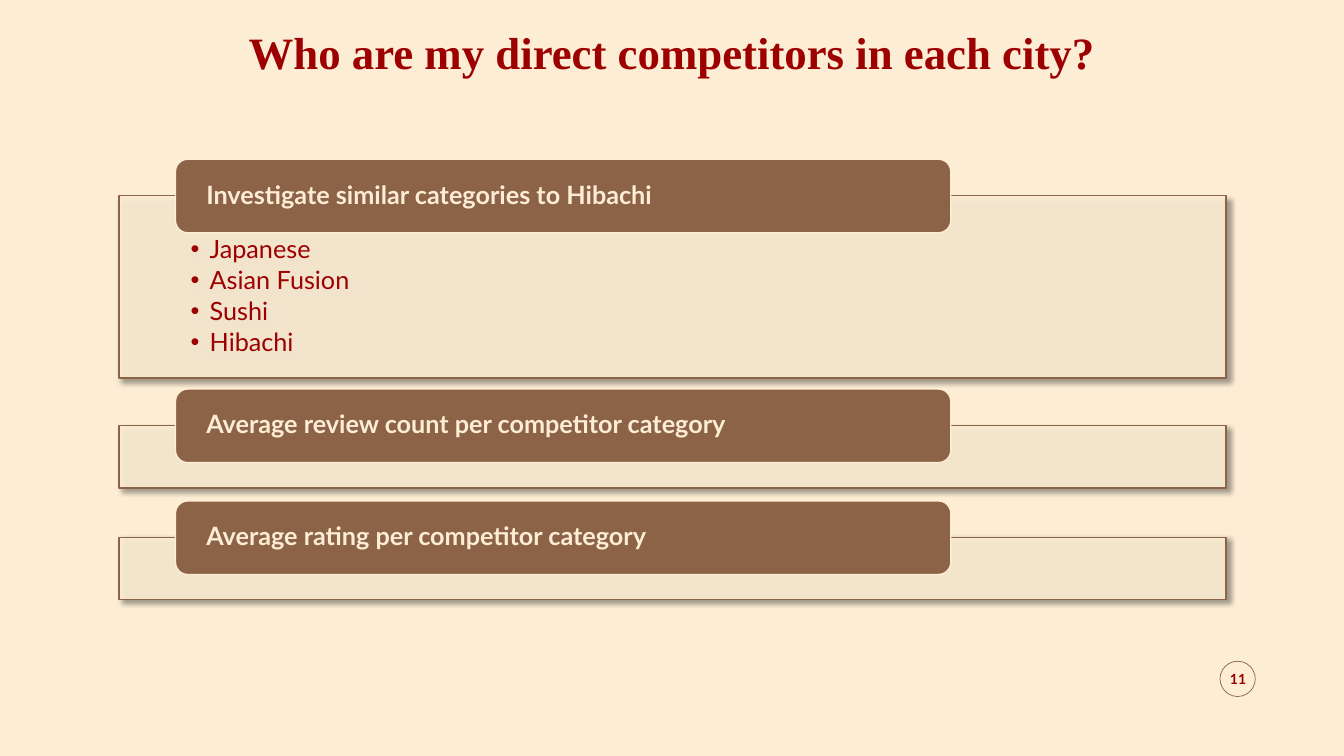
from dataclasses import dataclass

from lxml import etree
from pptx import Presentation
from pptx.dml.color import RGBColor
from pptx.enum.shapes import MSO_SHAPE as SHAPE
from pptx.enum.text import MSO_ANCHOR as ANCHOR, PP_ALIGN as ALIGN
from pptx.oxml import parse_xml
from pptx.oxml.ns import nsdecls, qn
from pptx.util import Inches, Pt

CREAM = RGBColor(0xFC, 0xED, 0xD4)
BROWN = RGBColor(0x8D, 0x63, 0x47)
RED = RGBColor(0x9D, 0x00, 0x00)

PANEL_LEFT, PANEL_WIDTH = 1.18, 10.98
HEADER_LEFT, HEADER_WIDTH, HEADER_HEIGHT = 1.74, 7.69, 0.73
HEADER_RISE = 0.36


@dataclass
class Section:
    heading: str
    top: float
    height: float
    items: tuple[str, ...] = ()


SECTIONS = [
    Section("Investigate similar categories to Hibachi", 1.94, 1.81,
            ("Japanese", "Asian Fusion", "Sushi", "Hibachi")),
    Section("Average review count per competitor category", 4.22, 0.62),
    Section("Average rating per competitor category", 5.33, 0.62),
]


def add_bullet(p) -> None:
    pPr = p._p.get_or_add_pPr()
    pPr.set("marL", str(Inches(0.19)))
    pPr.set("indent", str(-Inches(0.19)))
    etree.SubElement(pPr, qn("a:buFont")).set("typeface", "Arial")
    etree.SubElement(pPr, qn("a:buChar")).set("char", "•")


def write(sp, *lines: str, size: float = 18, font: str = "Lato", color: RGBColor = RED,
          bold: bool = False, align=ALIGN.LEFT, anchor=ANCHOR.MIDDLE, spacing: float = 0.9,
          after: float = 0, bullet: bool = False, insets=(0.1, 0.05, 0.1, 0.05)) -> None:
    tf = sp.text_frame
    tf.word_wrap = True
    tf.vertical_anchor = anchor
    tf.margin_left, tf.margin_top, tf.margin_right, tf.margin_bottom = map(Inches, insets)
    for i, line in enumerate(lines):
        p = tf.paragraphs[0] if i == 0 else tf.add_paragraph()
        p.alignment, p.line_spacing = align, spacing
        p.space_before, p.space_after = Pt(0), Pt(after)
        if bullet:
            add_bullet(p)
        r = p.add_run()
        r.text = line
        r.font.size, r.font.name, r.font.bold = Pt(size), font, bold
        r.font.color.rgb = color


def add_box(s, kind, left: float, top: float, width: float, height: float,
            fill: RGBColor | None, line: RGBColor, weight: float = 1):
    sp = s.shapes.add_shape(kind, Inches(left), Inches(top), Inches(width), Inches(height))
    sp.shadow.inherit = False
    if fill is None:
        sp.fill.background()
    else:
        sp.fill.solid()
        sp.fill.fore_color.rgb = fill
    sp.line.color.rgb = line
    sp.line.width = Pt(weight)
    return sp


def soften_panel(sp) -> None:
    """Make the fill 90% opaque and add a lower-right shadow."""
    spPr = sp._element.spPr
    color = spPr.find(qn("a:solidFill")).find(qn("a:srgbClr"))
    etree.SubElement(color, qn("a:alpha")).set("val", "90000")
    spPr.find(qn("a:effectLst")).append(parse_xml(
        f'<a:outerShdw {nsdecls("a")} blurRad="{Pt(4)}" dist="{Pt(3)}" dir="2700000" '
        'algn="tl" rotWithShape="0"><a:srgbClr val="000000"><a:alpha val="40000"/>'
        '</a:srgbClr></a:outerShdw>'))


def add_section(s, section: Section) -> None:
    panel = add_box(s, SHAPE.RECTANGLE, PANEL_LEFT, section.top, PANEL_WIDTH,
                    section.height, CREAM, BROWN)
    soften_panel(panel)
    if section.items:
        write(panel, *section.items, anchor=ANCHOR.TOP, after=2.7, bullet=True,
              insets=(0.71, 0.41, 0.71, 0.14))
    header = add_box(s, SHAPE.ROUNDED_RECTANGLE, HEADER_LEFT, section.top - HEADER_RISE,
                     HEADER_WIDTH, HEADER_HEIGHT, BROWN, CREAM)
    write(header, section.heading, color=CREAM, bold=True, insets=(0.27, 0.03, 0.27, 0.03))


def main() -> None:
    prs = Presentation()
    prs.slide_width, prs.slide_height = Inches(13.33), Inches(7.5)
    s = prs.slides.add_slide(prs.slide_layouts[5])
    s.background.fill.solid()
    s.background.fill.fore_color.rgb = CREAM

    title = s.shapes.title
    title.left, title.top, title.width, title.height = 0, 0, prs.slide_width, Inches(1.1)
    write(title, "Who are my direct competitors in each city?", size=32,
          font="Times New Roman", bold=True, align=ALIGN.CENTER)

    for section in SECTIONS:
        add_section(s, section)

    add_box(s, SHAPE.OVAL, 12.1, 6.56, 0.35, 0.35, None, BROWN, 0.5)
    number = s.shapes.add_textbox(Inches(12.08), Inches(6.54), Inches(0.4), Inches(0.4))
    write(number, "11", size=10, bold=True, align=ALIGN.CENTER, spacing=1.0,
          insets=(0, 0, 0, 0))

    prs.save("out.pptx")


if __name__ == "__main__":
    main()
